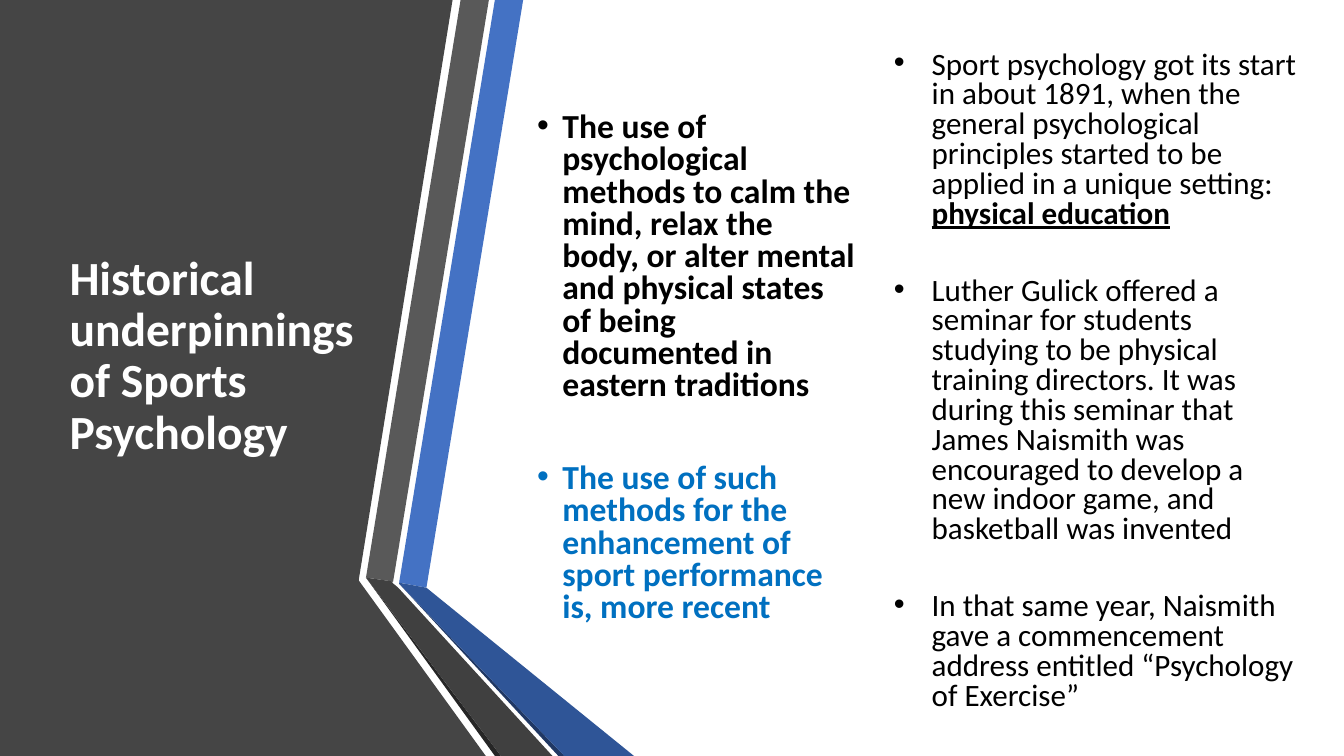
"""Build a slide on the historical underpinnings of sports psychology."""
import pptx
import pptx.dml.color
import pptx.enum.text
import pptx.oxml.ns
import pptx.util
from lxml import etree

Pt = pptx.util.Pt


def tint(part, shade):
    if hasattr(part, "solid"):
        part.solid()
        part.fore_color.rgb = pptx.dml.color.RGBColor.from_string(shade)
    else:
        part.color.rgb = pptx.dml.color.RGBColor.from_string(shade)


def write(para, text, size, shade="000000", bold=False, under=False, lead=0.8, after=0, dent=0):
    para.alignment = pptx.enum.text.PP_ALIGN.LEFT
    para.line_spacing = lead
    para.space_before = Pt(0)
    para.space_after = Pt(after)
    run = para.add_run()
    run.text = text
    font = run.font
    font.name, font.size, font.bold, font.underline = "Calibri", Pt(size), bold, under
    tint(font, shade)
    props = para._p.get_or_add_pPr()
    if dent and props.find(pptx.oxml.ns.qn("a:buChar")) is None:
        props.set("marL", str(Pt(dent)))
        props.set("indent", str(Pt(-dent)))
        etree.SubElement(props, pptx.oxml.ns.qn("a:buFont")).set("typeface", "Arial")
        etree.SubElement(props, pptx.oxml.ns.qn("a:buChar")).set("char", "•")


deck = pptx.Presentation()
deck.slide_width, deck.slide_height = Pt(960), Pt(540)
slide = deck.slides.add_slide(deck.slide_layouts[5])
shapes = slide.shapes
tint(slide.background.fill, "FFFFFF")

bands = [
    ("454545", [(0, 0), (323.3, 0), (256.3, 414), (256.3, 414.7), (347, 540), (0, 540)]),
    ("4472C4", [(285.1, 416.2), (304.6, 419.8), (373.7, 0), (353.5, 0)]),
    ("595959", [(349.2, 0), (329, 0), (261.4, 412.6), (280.8, 415.4)]),
    ("262626", [(261.4, 412.6), (353.5, 540), (357.8, 540)]),
    ("203864", [(285.1, 416.9), (398.9, 540), (403.2, 540)]),
    ("2F5597", [(285.1, 416.9), (403.2, 540), (452.9, 540), (304.6, 419.8), (285.1, 416.2)]),
    ("404040", [(394.6, 540), (284.4, 419.8), (280.1, 416.2), (280.8, 415.4),
                (261.4, 412.6), (357.8, 540)]),
]
for shade, spots in bands:
    spots = [(Pt(x), Pt(y)) for x, y in spots]
    pen = shapes.build_freeform(*spots[0])
    pen.add_line_segments(spots[1:], close=True)
    band = pen.convert_to_shape()
    band.shadow.inherit = False
    tint(band.fill, shade)
    band.line.fill.background()

title = shapes.title
title.left, title.top, title.width, title.height = Pt(42.5), Pt(54), Pt(218.9), Pt(401.8)
frame = title.text_frame
frame.word_wrap = True
frame.auto_size = pptx.enum.text.MSO_AUTO_SIZE.NONE
frame.vertical_anchor = pptx.enum.text.MSO_ANCHOR.MIDDLE
write(frame.paragraphs[0], "Historical underpinnings of Sports Psychology", 34,
      shade="FFFFFF", bold=True, lead=0.9)
title.element.getparent().append(title.element)

early = dict(size=24, bold=True, after=43.4, dent=18)
recent = dict(early, shade="0070C0")
fact = dict(size=22.2, after=33.6, dent=27)
columns = [
    ((376.6, 77, 241.2, 401.8), [
        [("The use of psychological methods to calm the mind, relax the body, or alter mental "
          "and physical states of being documented in eastern traditions", early)],
        [("The use of such methods for the enhancement of sport performance is, more recent",
          recent)],
    ]),
    ((631.4, 33, 303.8, 507), [
        [("Sport psychology got its start in about 1891, when the general psychological "
          "principles started to be applied in a unique setting: ", fact),
         ("physical education", dict(fact, bold=True, under=True))],
        [("Luther Gulick offered a seminar for students studying to be physical training "
          "directors. It was during this seminar that James Naismith was encouraged to "
          "develop a new indoor game, and basketball was invented", fact)],
        [("In that same year, Naismith gave a commencement address entitled “Psychology "
          "of Exercise”", fact)],
    ]),
]
for place, items in columns:
    frame = shapes.add_textbox(*map(Pt, place)).text_frame
    frame.word_wrap = True
    for rank, runs in enumerate(items):
        para = frame.add_paragraph() if rank else frame.paragraphs[0]
        for text, style in runs:
            write(para, text, **style)

deck.save("out.pptx")
